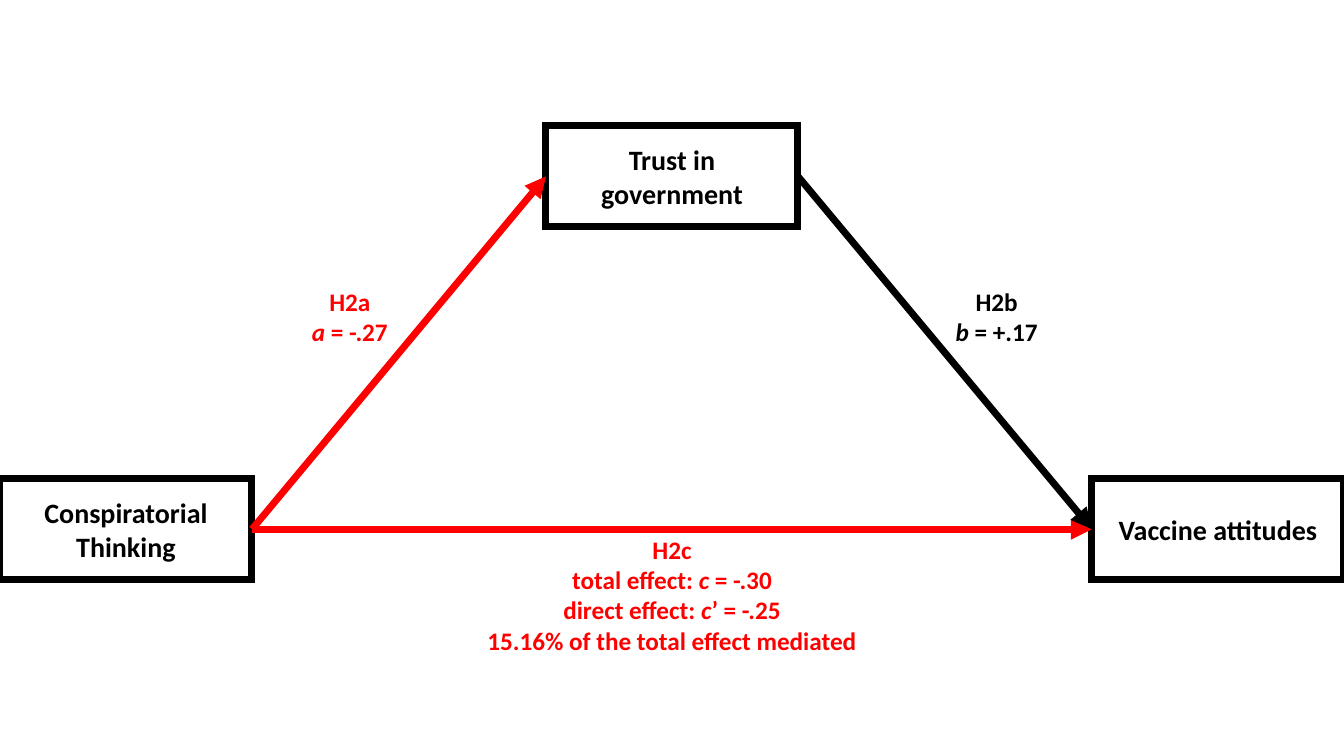
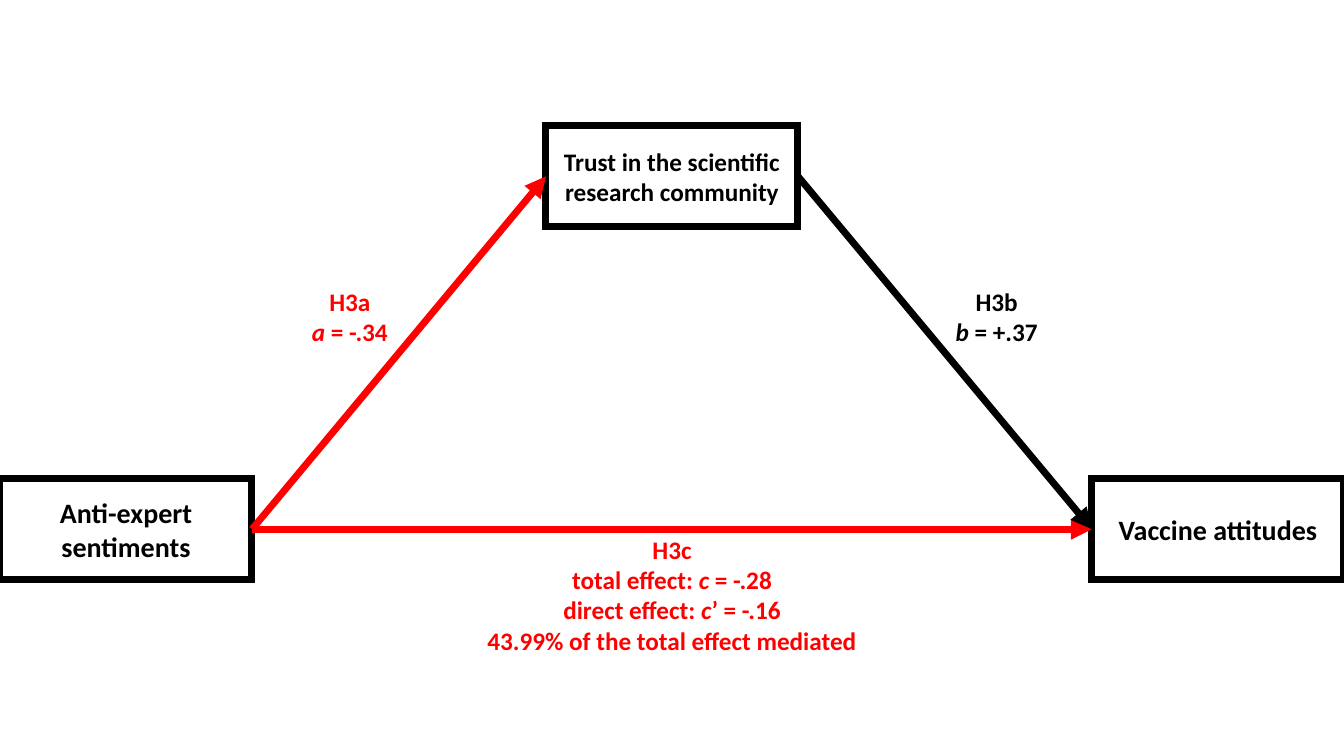
"""Build two mediation path diagrams, one per slide."""
import pptx
import pptx.dml.color
import pptx.enum.shapes
import pptx.enum.text
import pptx.oxml
import pptx.oxml.ns
import pptx.util

Inches, Pt = pptx.util.Inches, pptx.util.Pt
BLACK = pptx.dml.color.RGBColor(0x00, 0x00, 0x00)
RED = pptx.dml.color.RGBColor(0xFF, 0x00, 0x00)
FONT = "Calibri"
SLIDE_W, SLIDE_H = 13.33, 7.5
BOX_W, BOX_H = 2.5, 1
BASE_TOP, MEDIATOR_TOP = 4.75, 1.25
LINE_WIDTH = 5
LEFT_SIDE, RIGHT_SIDE = 1, 3

MODELS = [
    {
        "hypothesis": "H2",
        "predictor": "Conspiratorial Thinking",
        "mediator": "Trust in government", "mediator_size": 20,
        "a": "-.27", "b": "+.17", "total": "-.30", "direct": "-.25",
        "mediated": "15.16%",
    },
    {
        "hypothesis": "H3",
        "predictor": "Anti-expert sentiments",
        "mediator": "Trust in the scientific research community",
        "mediator_size": 18,
        "a": "-.34", "b": "+.37", "total": "-.28", "direct": "-.16",
        "mediated": "43.99%",
    },
]


def write_text(frame, lines, size=18, color=BLACK, bold=True):
    """Fill a frame with centred lines; parts between asterisks are italic."""
    for index, line in enumerate(lines):
        paragraph = frame.paragraphs[0] if index == 0 else frame.add_paragraph()
        paragraph.alignment = pptx.enum.text.PP_ALIGN.CENTER
        for position, part in enumerate(line.split("*")):
            if part:
                run = paragraph.add_run()
                run.text = part
                run.font.name = FONT
                run.font.size = Pt(size)
                run.font.bold = bold
                run.font.italic = position % 2 == 1
                run.font.color.rgb = color


def append_element(parent, tag, attributes=""):
    """Append an empty drawing element to a parent element."""
    namespace = pptx.oxml.ns.nsdecls("a")
    parent.append(pptx.oxml.parse_xml(f"<a:{tag} {namespace} {attributes}/>"))


def style_line(line, color):
    """Give a line its colour and the shared width."""
    line.color.rgb = color
    line.width = Pt(LINE_WIDTH)


def add_variable(slide, label, left, top, size=20):
    """Add an outlined, square-cornered box for one variable."""
    box = slide.shapes.add_shape(
        pptx.enum.shapes.MSO_SHAPE.RECTANGLE,
        Inches(left), Inches(top), Inches(BOX_W), Inches(BOX_H))
    box.shadow.inherit = False
    box.fill.background()
    style_line(box.line, BLACK)
    append_element(box.line._get_or_add_ln(), "miter", 'lim="800000"')
    box.text_frame.word_wrap = True
    box.text_frame.vertical_anchor = pptx.enum.text.MSO_ANCHOR.MIDDLE
    write_text(box.text_frame, [label], size=size)
    return box


def add_path(slide, cause, effect, color):
    """Join the right side of one box to the left side of another."""
    arrow = slide.shapes.add_connector(
        pptx.enum.shapes.MSO_CONNECTOR.STRAIGHT, 0, 0, 0, 0)
    arrow.begin_connect(cause, RIGHT_SIDE)
    arrow.end_connect(effect, LEFT_SIDE)
    style_line(arrow.line, color)
    append_element(arrow.line._get_or_add_ln(), "tailEnd", 'type="triangle"')
    append_element(arrow._element.spPr, "effectLst")


def add_estimate(slide, lines, left, top, width, height, color):
    """Add a label with the estimates for one path."""
    label = slide.shapes.add_textbox(
        Inches(left), Inches(top), Inches(width), Inches(height))
    label.text_frame.word_wrap = False
    label.text_frame.auto_size = pptx.enum.text.MSO_AUTO_SIZE.SHAPE_TO_FIT_TEXT
    write_text(label.text_frame, lines, color=color)


def add_model(deck, model):
    """Add a slide with the three variables, their paths and estimates."""
    slide = deck.slides.add_slide(deck.slide_layouts[6])
    right = SLIDE_W - BOX_W
    predictor = add_variable(slide, model["predictor"], 0, BASE_TOP)
    mediator = add_variable(slide, model["mediator"], right / 2, MEDIATOR_TOP,
                            size=model["mediator_size"])
    outcome = add_variable(slide, "Vaccine attitudes", right, BASE_TOP)

    add_path(slide, predictor, mediator, RED)
    add_path(slide, predictor, outcome, RED)
    add_path(slide, mediator, outcome, BLACK)

    name = model["hypothesis"]
    add_estimate(slide, [f"{name}a", f"*a* = {model['a']}"],
                 2.98, 2.79, 0.98, 0.71, RED)
    add_estimate(slide, [
        f"{name}c",
        f"total effect: *c* = {model['total']}",
        f"direct effect: *c*\u2019 = {model['direct']}",
        f"{model['mediated']} of the total effect mediated",
    ], 4.71, 5.25, 3.91, 1.31, RED)
    add_estimate(slide, [f"{name}b", f"*b* = {model['b']}"],
                 9.37, 2.79, 1.03, 0.71, BLACK)


def main():
    """Build and save the deck."""
    deck = pptx.Presentation()
    deck.slide_width = Inches(SLIDE_W)
    deck.slide_height = Inches(SLIDE_H)
    for model in MODELS:
        add_model(deck, model)
    deck.save("out.pptx")


main()
